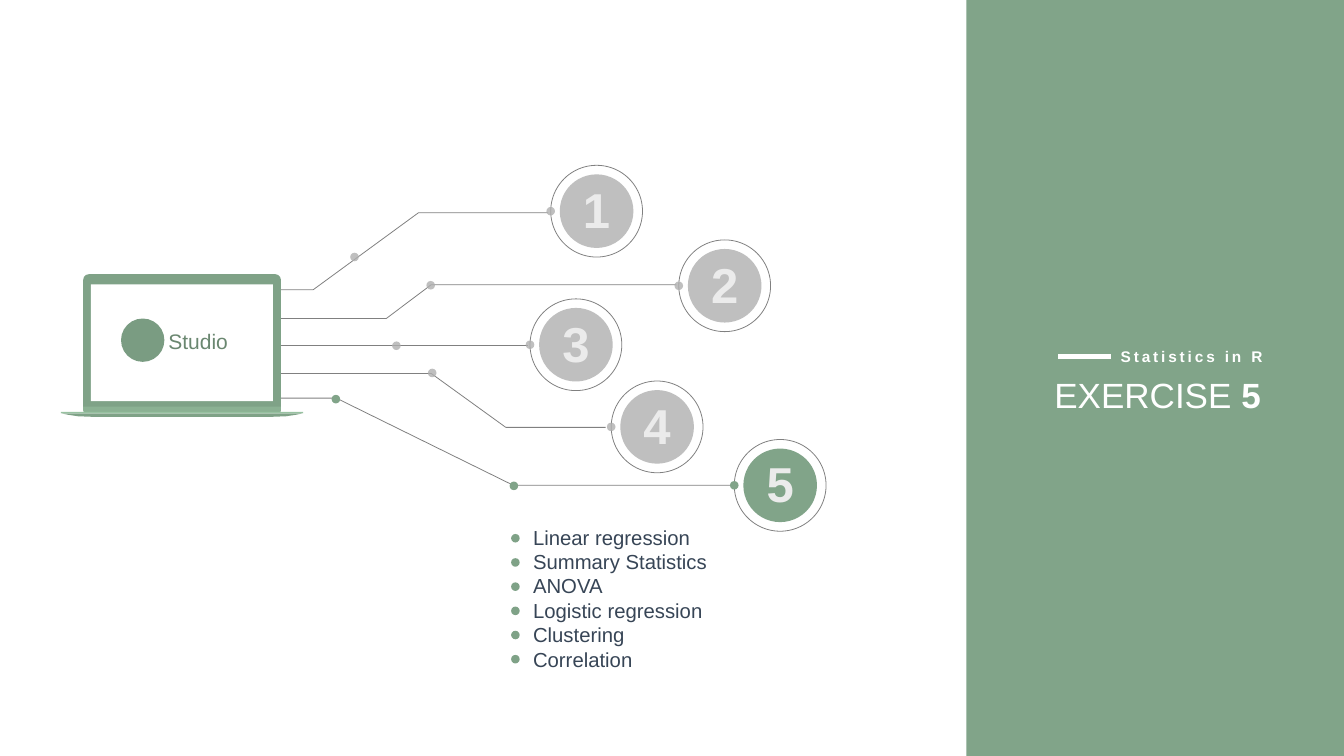
from lxml.etree import SubElement
from pptx import Presentation
from pptx.dml.color import RGBColor
from pptx.enum.shapes import MSO_CONNECTOR, MSO_SHAPE as SHAPE
from pptx.enum.text import MSO_ANCHOR as ANCHOR, PP_ALIGN as ALIGN
from pptx.oxml.ns import qn
from pptx.util import Inches, Pt

COLORS = {
    "white": "FFFFFF",
    "panel": "81A489",
    "laptop": "7FA287",
    "hinge": "8BB193",
    "edge": "98C2A1",
    "ball": "7A9C82",
    "studio": "6A8770",
    "line": "808080",
    "inactive": "AFAFAF",
    "number": "EBEBEB",
    "topic": "374556",
}
DISC, RING, DOT = 1.46, 1.82, 0.17

STATIONS = [
    ("1", (11.83, 4.19), "inactive"),
    ("2", (14.37, 5.67), "inactive"),
    ("3", (11.42, 6.84), "inactive"),
    ("4", (13.03, 8.47), "inactive"),
    ("5", (15.47, 9.63), "panel"),
]
ROUTES = [
    [(5.54, 5.75), (6.21, 5.75), (8.3, 4.22), (10.87, 4.22)],
    [(4.77, 6.32), (7.66, 6.32), (8.55, 5.65), (13.41, 5.65)],
    [(4.84, 7.41), (8.55, 7.41), (10.03, 8.48), (12.01, 8.48)],
    [(5.54, 7.9), (6.67, 7.9), (10.18, 9.63), (14.5, 9.63)],
]
ROUTE_DOTS = [
    ((7.03, 5.1), "inactive"),
    ((8.54, 5.66), "inactive"),
    ((7.86, 6.86), "inactive"),
    ((8.57, 7.4), "inactive"),
    ((6.66, 7.92), "panel"),
    ((10.19, 9.64), "panel"),
]
TOPICS = ["Linear regression", "Summary Statistics", "ANOVA",
          "Logistic regression", "Clustering", "Correlation"]
BASE_CURVE = [(1.21, 8.2), (1.35, 8.23), (1.55, 8.26), (1.82, 8.27)]
BASE = BASE_CURVE + [(7.22 - x, y) for x, y in reversed(BASE_CURVE)]


class SlideBuilder:
    font_name = "Arial"
    line_width = 1.13

    def __init__(self, slide):
        self.slide = slide

    def color(self, name):
        return RGBColor.from_string(COLORS[name])

    def paint(self, shape, fill=None, line=None):
        shape.shadow.inherit = False
        if fill:
            shape.fill.solid()
            shape.fill.fore_color.rgb = self.color(fill)
            if fill == "inactive":
                SubElement(shape.element.find(".//" + qn("a:srgbClr")), qn("a:alpha"), val="80000")
        else:
            shape.fill.background()
        if line:
            shape.line.color.rgb = self.color(line)
            shape.line.width = Pt(self.line_width)
        else:
            shape.line.fill.background()

    def shape(self, kind, box, fill=None, line=None, adjustments=()):
        shape = self.slide.shapes.add_shape(kind, *map(Inches, box))
        for index, value in enumerate(adjustments):
            shape.adjustments[index] = value
        self.paint(shape, fill, line)
        return shape

    def circle(self, center, size, fill=None, line=None):
        x, y = center
        return self.shape(SHAPE.OVAL, (x - size / 2, y - size / 2, size, size), fill, line)

    def freeform(self, points, fill=None, line=None):
        points = [(Inches(x), Inches(y)) for x, y in points]
        builder = self.slide.shapes.build_freeform(*points[0])
        builder.add_line_segments(points[1:], close=bool(fill))
        self.paint(builder.convert_to_shape(), fill, line)

    def line(self, start, end, color, width):
        connector = self.slide.shapes.add_connector(
            MSO_CONNECTOR.STRAIGHT, *map(Inches, start + end))
        connector.line.color.rgb = self.color(color)
        connector.line.width = Pt(width)
        SubElement(connector.element.spPr, qn("a:effectLst"))

    def frame(self, shape, anchor, margin, wrap=True):
        frame = shape.text_frame
        frame.word_wrap = wrap
        frame.vertical_anchor = anchor
        frame.margin_left = frame.margin_right = Inches(margin)
        frame.margin_top = frame.margin_bottom = Inches(margin)
        return frame

    def style(self, paragraph, size, color, bold=False, align=ALIGN.LEFT):
        paragraph.alignment = align
        font = paragraph.font
        font.name = self.font_name
        font.size = Pt(size)
        font.bold = bold
        font.color.rgb = self.color(color)

    def text(self, box, lines, size, color, bold=False, align=ALIGN.LEFT,
             anchor=ANCHOR.MIDDLE, margin=0.06, tracking=0):
        text_box = self.slide.shapes.add_textbox(*map(Inches, box))
        frame = self.frame(text_box, anchor, margin)
        frame.text = "\n".join(lines)
        for paragraph in frame.paragraphs:
            self.style(paragraph, size, color, bold, align)
            if tracking:
                for run in paragraph.runs:
                    run._r.get_or_add_rPr().set("spc", str(round(tracking * 100)))

    def title(self, box, plain, strong):
        title = self.slide.shapes.title
        title.left, title.top, title.width, title.height = map(Inches, box)
        title.element.getparent().append(title.element)
        paragraph = self.frame(title, ANCHOR.TOP, 0.05).paragraphs[0]
        self.style(paragraph, 50, "white", align=ALIGN.CENTER)
        paragraph.add_run().text = plain
        run = paragraph.add_run()
        run.text = strong
        run.font.bold = True

    def station(self, number, center, fill):
        disc = self.circle(center, DISC, fill)
        frame = self.frame(disc, ANCHOR.MIDDLE, 0, wrap=False)
        frame.margin_bottom = Inches(0.08)
        frame.text = number
        self.style(frame.paragraphs[0], 70, "number", bold=True, align=ALIGN.CENTER)
        self.circle(center, RING, line="line")
        self.circle((center[0] - RING / 2, center[1]), DOT, fill)

    def laptop(self):
        self.shape(SHAPE.ROUND_2_SAME_RECTANGLE, (1.65, 5.44, 3.92, 2.75), "laptop",
                   adjustments=(0.04, 0.02))
        self.shape(SHAPE.ROUND_2_SAME_RECTANGLE, (1.65, 8.07, 3.92, 0.12), "hinge",
                   adjustments=(0, 0.5))
        self.shape(SHAPE.RECTANGLE, (1.8, 5.64, 3.61, 2.32), "white")
        self.freeform(BASE, "laptop")
        self.shape(SHAPE.RECTANGLE, (1.21, 8.17, 4.8, 0.03), "edge")
        self.circle((2.83, 6.75), 0.86, "ball")
        self.text((3.28, 6.37, 1.33, 0.8), ["Studio"], 30, "studio")


def main():
    presentation = Presentation()
    presentation.slide_width = Inches(26.65)
    presentation.slide_height = Inches(15)
    builder = SlideBuilder(presentation.slides.add_slide(presentation.slide_layouts[5]))

    builder.shape(SHAPE.RECTANGLE, (19.16, -0.06, 7.59, 15.13), "panel")
    builder.title((20.04, 7.36, 5.83, 1.69), "EXERCISE ", "5")
    builder.text((21.64, 6.83, 3.98, 0.49), ["Statistics in R"], 22, "white", bold=True,
                 align=ALIGN.CENTER, anchor=ANCHOR.TOP, margin=0.05, tracking=4.1)
    builder.line((20.98, 7.08), (22.03, 7.08), "white", 7)

    builder.line((5.21, 6.86), (10.46, 6.86), "line", builder.line_width)
    for route in ROUTES:
        builder.freeform(route, line="line")
    for number, center, fill in STATIONS:
        builder.station(number, center, fill)
    for center, fill in ROUTE_DOTS:
        builder.circle(center, DOT, fill)
    builder.laptop()

    builder.text((10.51, 10.35, 3.9, 3.03), TOPICS, 29, "topic")
    for index in range(len(TOPICS)):
        builder.circle((10.22, 10.68 + 0.48 * index), DOT, "laptop")

    presentation.save("out.pptx")


if __name__ == "__main__":
    main()
